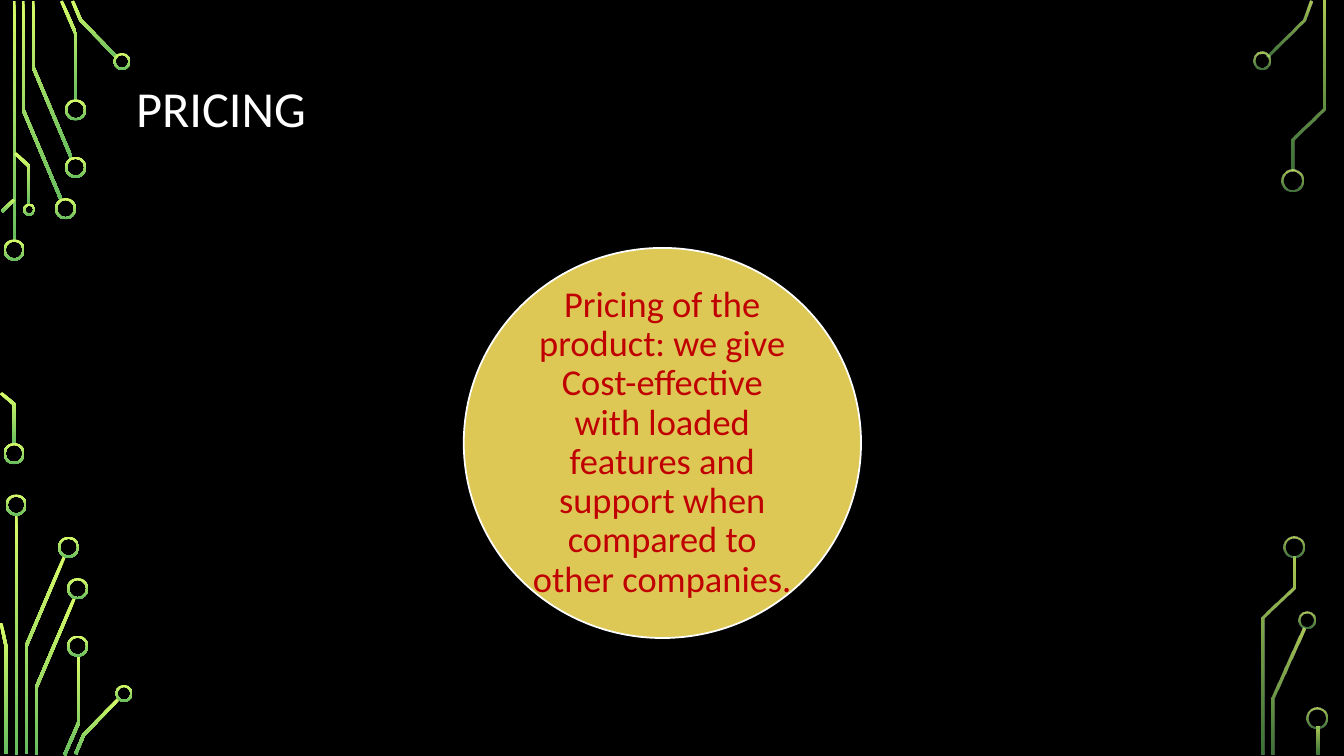
"""Build the pricing slide with its circuit-board border."""
import math
from dataclasses import dataclass

import lxml.etree
import pptx
import pptx.dml.color
import pptx.enum.shapes
import pptx.enum.text
import pptx.oxml.ns
import pptx.util

Inches = pptx.util.Inches
Pt = pptx.util.Pt
Color = pptx.dml.color.RGBColor.from_string


@dataclass(frozen=True)
class Theme:
    """Colours, type sizes and line weights of the slide."""
    font: str = "Calibri"
    background: str = "000000"
    title: str = "FFFFFF"
    disc: str = "DDC855"
    disc_line: str = "FFFFFF"
    disc_text: str = "C00000"
    circuit: tuple = ("D8FC68", "66BD5F")
    faded: tuple = (80, 60)
    title_size: int = 36
    body_size: int = 26
    disc_line_width: float = 1.25
    trace_width: float = 0.03
    ring_width: float = 0.02


THEME = Theme()
MESSAGE = ("Pricing of the product: we give Cost-effective with loaded features "
           "and support when compared to other companies.")

LEFT_TRACES = [
    [(0.14, 0.01), (0.14, 2.4)],
    [(0.61, 1.99), (0.23, 1.09), (0.23, 0.01)],
    [(0.71, 1.57), (0.33, 0.67), (0.33, 0.01)],
    [(0.75, 1), (0.75, 0.33), (0.61, 0.01)],
    [(1.16, 0.57), (0.8, 0.2), (0.72, 0.01)],
    [(0.02, 2.1), (0.14, 1.98)],
    [(0.14, 4.41), (0.14, 4.01), (0.01, 3.9)],
    [(0.29, 2.03), (0.29, 1.65), (0.15, 1.52)],
    [(0.16, 5.1), (0.16, 7.49)],
    [(0.26, 7.48), (0.26, 6.41), (0.64, 5.52)],
    [(0.06, 7.48), (0.06, 6.41), (0.01, 6.18)],
    [(0.36, 7.49), (0.36, 6.82), (0.74, 5.93)],
    [(0.64, 7.49), (0.78, 7.17), (0.78, 6.5)],
    [(0.75, 7.48), (0.83, 7.29), (1.18, 6.93)],
]
LEFT_RINGS = [
    (0.14, 2.48, 0.21), (0.14, 4.5, 0.21), (0.65, 2.07, 0.21),
    (0.75, 1.66, 0.21), (0.75, 1.09, 0.21), (1.21, 0.61, 0.17),
    (0.29, 2.08, 0.12), (0.16, 5.01, 0.21), (0.68, 5.43, 0.21),
    (0.77, 5.84, 0.21), (0.77, 6.41, 0.21), (1.23, 6.88, 0.17),
]
RIGHT_TRACES = [
    [(12.57, 0.56), (12.93, 0.2), (13, 0.01)],
    [(12.63, 7.49), (12.63, 6.93), (12.93, 6.23)],
    [(12.82, 1.69), (12.82, 1.38), (13.13, 1.08), (13.13, 0.01)],
    [(12.53, 7.49), (12.53, 6.13), (12.83, 5.83), (12.83, 5.52)],
    [(13.07, 7.21), (13.07, 7.49)],
]
RIGHT_RINGS = [
    (12.52, 0.6, 0.17), (12.82, 1.79, 0.21), (12.96, 6.15, 0.17),
    (12.83, 5.43, 0.21), (13.06, 7.12, 0.21),
]


def apply_format(target, values):
    """Set each named attribute of the target."""
    for name, value in values.items():
        setattr(target, name, value)


def paint_circuit(shape, opacities):
    """Give a circuit part its vertical gradient and no line."""
    shape.shadow.inherit = False
    shape.line.fill.background()
    shape.fill.gradient()
    shape.fill.gradient_angle = 270
    for index, stop in enumerate(shape.fill.gradient_stops):
        apply_format(stop, {"position": index})
        stop.color.rgb = Color(THEME.circuit[index])
    if opacities:
        colors = shape.element.spPr.iter(pptx.oxml.ns.qn("a:srgbClr"))
        for color, opacity in zip(list(colors), opacities):
            alpha = lxml.etree.SubElement(color, pptx.oxml.ns.qn("a:alpha"))
            alpha.set("val", str(opacity * 1000))


def trace_side(points, offset):
    """Shift a centre line sideways, with mitred corners."""
    angles = [math.atan2(y2 - y1, x2 - x1)
              for (x1, y1), (x2, y2) in zip(points, points[1:])]
    side = []
    for (x, y), before, after in zip(points, angles[:1] + angles, angles + angles[-1:]):
        turn = math.remainder(after - before, math.tau) / 2
        reach = offset / math.cos(turn)
        side.append((x - reach * math.sin(before + turn),
                     y + reach * math.cos(before + turn)))
    return side


def add_trace(slide, points, opacities):
    """Add a circuit line as a closed outline around its centre line."""
    half = THEME.trace_width / 2
    outline = trace_side(points, half) + trace_side(points, -half)[::-1]
    corners = [(Inches(x), Inches(y)) for x, y in outline]
    builder = slide.shapes.build_freeform(*corners[0])
    builder.add_line_segments(corners[1:], close=True)
    paint_circuit(builder.convert_to_shape(), opacities)


def add_ring(slide, x, y, size, opacities):
    """Add a circuit contact ring around its centre."""
    ring = slide.shapes.add_shape(
        pptx.enum.shapes.MSO_SHAPE.DONUT, Inches(x - size / 2),
        Inches(y - size / 2), Inches(size), Inches(size))
    ring.adjustments[0] = THEME.ring_width / size
    paint_circuit(ring, opacities)


def add_circuit(slide, traces, rings, opacities=None):
    """Add one side of the circuit border."""
    for points in traces:
        add_trace(slide, points, opacities)
    for x, y, size in rings:
        add_ring(slide, x, y, size, opacities)


def write_text(shape, text, size, color, alignment, inset):
    """Write one formatted paragraph into a shape."""
    frame = shape.text_frame
    frame.text = text
    apply_format(frame, {
        "word_wrap": True,
        "auto_size": pptx.enum.text.MSO_AUTO_SIZE.NONE,
        "vertical_anchor": pptx.enum.text.MSO_ANCHOR.MIDDLE,
        "margin_left": inset, "margin_right": inset,
        "margin_top": Inches(0.04), "margin_bottom": Inches(0.04)})
    paragraph = frame.paragraphs[0]
    apply_format(paragraph, {"alignment": alignment, "line_spacing": 0.9})
    font = paragraph.runs[0].font
    apply_format(font, {"name": THEME.font, "size": Pt(size)})
    font.color.rgb = Color(color)


def add_title(slide, text):
    """Place and format the title placeholder."""
    title = slide.shapes.title
    apply_format(title, {"left": Inches(1.25), "top": Inches(0.68),
                         "width": Inches(10.83), "height": Inches(0.84)})
    write_text(title, text, THEME.title_size, THEME.title,
               pptx.enum.text.PP_ALIGN.LEFT, Inches(0.1))


def add_disc(slide, text):
    """Add the disc that carries the pricing message."""
    disc = slide.shapes.add_shape(
        pptx.enum.shapes.MSO_SHAPE.OVAL,
        Inches(4.6), Inches(2.46), Inches(3.94), Inches(3.87))
    disc.shadow.inherit = False
    disc.fill.solid()
    disc.fill.fore_color.rgb = Color(THEME.disc)
    disc.line.color.rgb = Color(THEME.disc_line)
    disc.line.width = Pt(THEME.disc_line_width)
    write_text(disc, text, THEME.body_size, THEME.disc_text,
               pptx.enum.text.PP_ALIGN.CENTER, Inches(0.04))


def main():
    """Build and save the presentation."""
    presentation = pptx.Presentation()
    apply_format(presentation, {"slide_width": Inches(13.33),
                                "slide_height": Inches(7.5)})
    slide = presentation.slides.add_slide(
        presentation.slide_layouts.get_by_name("Title Only"))
    slide.background.fill.solid()
    slide.background.fill.fore_color.rgb = Color(THEME.background)
    add_circuit(slide, LEFT_TRACES, LEFT_RINGS)
    add_circuit(slide, RIGHT_TRACES, RIGHT_RINGS, THEME.faded)
    add_title(slide, "PRICING")
    add_disc(slide, MESSAGE)
    presentation.save("out.pptx")


if __name__ == "__main__":
    main()
